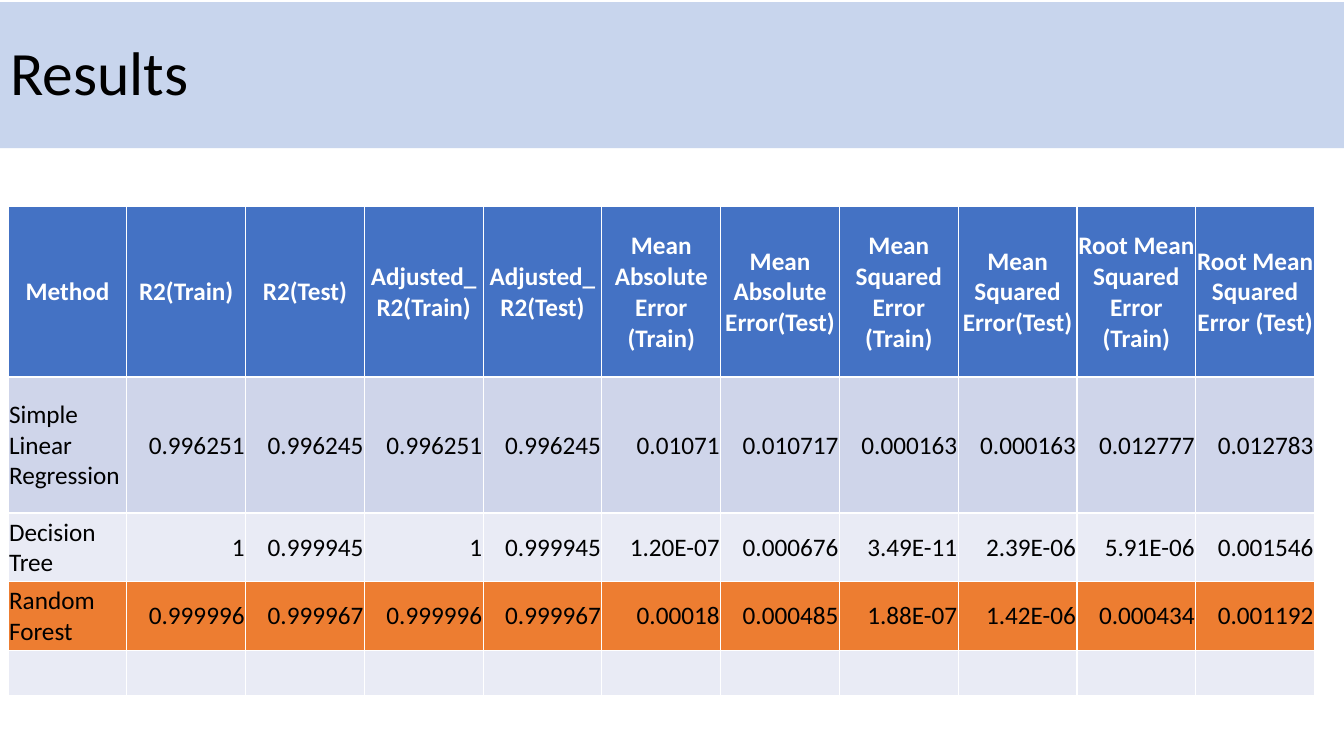
from lxml.etree import SubElement
from pptx import Presentation
from pptx.dml.color import RGBColor
from pptx.enum.text import MSO_ANCHOR as Anchor, MSO_AUTO_SIZE as AutoSize, PP_ALIGN as Align
from pptx.oxml.ns import qn
from pptx.util import Inches, Pt

HEADING = "Results"
METRICS = [
    "Method", "R2(Train)", "R2(Test)", "Adjusted_R2(Train)", "Adjusted_R2(Test)",
    "Mean Absolute Error (Train)", "Mean Absolute Error(Test)",
    "Mean Squared Error (Train)", "Mean Squared Error(Test)",
    "Root Mean Squared Error (Train)", "Root Mean Squared Error (Test)",
]
SCORES = [
    ["Simple Linear Regression", "0.996251", "0.996245", "0.996251", "0.996245", "0.01071",
     "0.010717", "0.000163", "0.000163", "0.012777", "0.012783"],
    ["Decision Tree", "1", "0.999945", "1", "0.999945", "1.20E-07",
     "0.000676", "3.49E-11", "2.39E-06", "5.91E-06", "0.001546"],
    ["Random Forest", "0.999996", "0.999967", "0.999996", "0.999967", "0.00018",
     "0.000485", "1.88E-07", "1.42E-06", "0.000434", "0.001192"],
]
ROWS = [METRICS, *SCORES, [""] * len(METRICS)]
ROW_HEIGHTS = [1.69, 1.35, 0.68, 0.68, 0.45]
ROW_FILLS = ["4472C4", "CFD5EA", "E9EBF5", "ED7D31", "E9EBF5"]
TABLE_LEFT, TABLE_TOP, TABLE_WIDTH = 0.08, 2.05, 12.96

TITLE_FRAME = {"left": Inches(0), "top": Inches(0.02), "width": Inches(13.33), "height": Inches(1.45)}
TITLE_TEXT = {"vertical_anchor": Anchor.MIDDLE, "word_wrap": True, "auto_size": AutoSize.NONE}
TITLE_LINE = {"alignment": Align.LEFT, "line_spacing": 0.9}
TITLE_FONT = {"name": "Calibri", "size": Pt(44)}
CELL_FORMAT = {
    "vertical_anchor": Anchor.MIDDLE, "margin_left": Inches(0.01), "margin_top": Inches(0.01),
    "margin_right": Inches(0.01), "margin_bottom": Inches(0),
}
CELL_FONT = {"name": "Calibri", "size": Pt(18)}


def apply(target, values):
    for key, value in values.items():
        setattr(target, key, value)


def paint(part, color):
    if hasattr(part, "solid"):
        part.solid()
        part.fore_color.rgb = RGBColor.from_string(color)
    else:
        part.color.rgb = RGBColor.from_string(color)


def add_heading(slide):
    heading = slide.shapes.title
    apply(heading, TITLE_FRAME)
    heading.text_frame.text = HEADING
    apply(heading.text_frame, TITLE_TEXT)
    line = heading.text_frame.paragraphs[0]
    apply(line, TITLE_LINE)
    apply(line.font, TITLE_FONT)
    paint(line.font, "000000")
    paint(heading.fill, "8FAADC")
    tint = next(heading.element.spPr.iter(qn("a:srgbClr")))
    SubElement(tint, qn("a:alpha")).set("val", "49000")


def add_results(slide):
    results = slide.shapes.add_table(
        len(ROWS), len(METRICS), Inches(TABLE_LEFT), Inches(TABLE_TOP),
        Inches(TABLE_WIDTH), Inches(sum(ROW_HEIGHTS))).table
    for column in results.columns:
        column.width = Inches(TABLE_WIDTH / len(METRICS))
    for r, (entries, height, fill) in enumerate(zip(ROWS, ROW_HEIGHTS, ROW_FILLS)):
        results.rows[r].height = Inches(height)
        for c, entry in enumerate(entries):
            cell = results.cell(r, c)
            apply(cell, CELL_FORMAT)
            paint(cell.fill, fill)
            cell.text = entry
            line = cell.text_frame.paragraphs[0]
            line.alignment = Align.CENTER if r == 0 else Align.RIGHT if c else Align.LEFT
            apply(line.font, {**CELL_FONT, "bold": r == 0})
            paint(line.font, "000000" if r else "FFFFFF")


def main():
    deck = Presentation()
    apply(deck, {"slide_width": Inches(13.33), "slide_height": Inches(7.5)})
    slide = deck.slides.add_slide(deck.slide_layouts.get_by_name("Title Only"))
    add_heading(slide)
    add_results(slide)
    deck.save("out.pptx")


if __name__ == "__main__":
    main()
